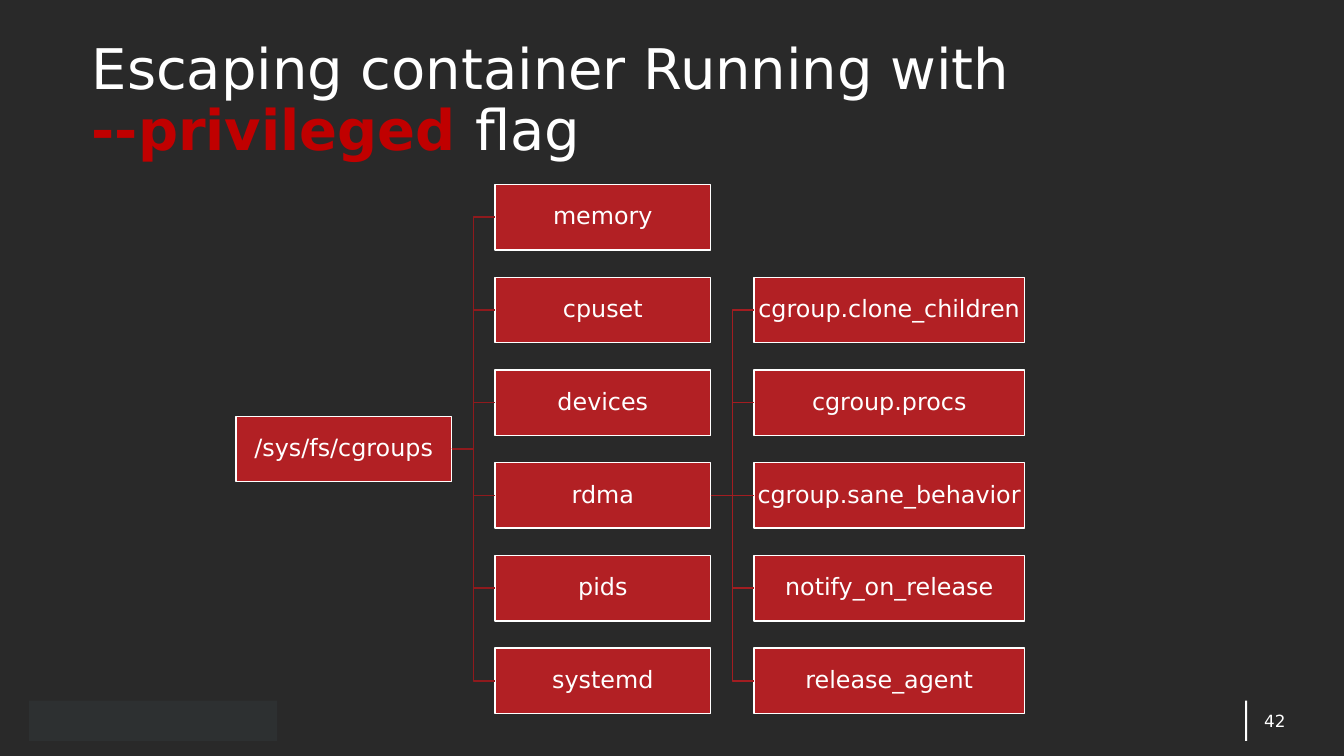
from pptx import Presentation
from pptx.dml.color import RGBColor
from pptx.enum import shapes, text
from pptx.oxml.ns import qn
from pptx.util import Inches, Pt

FONT = "DejaVu Sans"
RED, WHITE = "B22024", "FFFFFF"


def rgb(code):
    return RGBColor.from_string(code)


def block(x, y, w, h, fill, edge=None):
    shape = slide.shapes.add_shape(
        shapes.MSO_SHAPE.RECTANGLE, Inches(x), Inches(y), Inches(w), Inches(h))
    shape.shadow.inherit = False
    shape.fill.solid()
    shape.fill.fore_color.rgb = rgb(fill)
    if edge:
        shape.line.color.rgb = rgb(edge)
        shape.line.width = Pt(1)
    else:
        shape.line.fill.background()
    return shape


prs = Presentation()
prs.slide_width, prs.slide_height = Inches(13.33), Inches(7.5)
slide = prs.slides.add_slide(prs.slide_layouts[6])
slide.background.fill.solid()
slide.background.fill.fore_color.rgb = rgb("292929")

# Title and page number
block(12.35, 6.95, 0.02, 0.4, WHITE)
frames = []
for x, y, w, h in [(0.91, 0.39, 11.67, 1.24), (12.25, 6.95, 0.5, 0.4)]:
    box = slide.shapes.add_textbox(Inches(x), Inches(y), Inches(w), Inches(h))
    frame = box.text_frame
    frame.word_wrap = True
    frame.vertical_anchor = text.MSO_ANCHOR.MIDDLE
    frame.margin_left = frame.margin_right = 0
    frame.margin_top = frame.margin_bottom = 0
    frames.append(frame)

title = frames[0].paragraphs[0]
title.line_spacing = 0.9
title.font.size, title.font.name = Pt(40), FONT
title.add_run().text = "Escaping container Running with"
title.add_line_break()
flag = title.add_run()
flag.text = "--privileged "
title.add_run().text = "flag"
for run in title.runs:
    run.font.color.rgb = rgb(WHITE)
flag.font.bold = True
flag.font.color.rgb = rgb("C00000")

page = frames[1].paragraphs[0]
page.text = "42"
page.alignment = text.PP_ALIGN.RIGHT
page.font.size, page.font.name = Pt(12), FONT
page.font.color.rgb = rgb(WHITE)

# Tree nodes: left edge, width, first row, labels
top, pitch, high = 1.83, 0.92, 0.65
cols = [
    (2.34, 2.14, 2.5, ["/sys/fs/cgroups"]),
    (4.91, 2.14, 0, ["memory", "cpuset", "devices", "rdma", "pids", "systemd"]),
    (7.48, 2.68, 1, ["cgroup.clone_children", "cgroup.procs",
                     "cgroup.sane_behavior", "notify_on_release",
                     "release_agent"]),
]
nodes = {}
for x, w, first, names in cols:
    for i, name in enumerate(names):
        node = block(x, top + (first + i) * pitch, w, high, RED, WHITE)
        frame = node.text_frame
        frame.word_wrap = True
        frame.vertical_anchor = text.MSO_ANCHOR.MIDDLE
        frame.margin_left = frame.margin_right = Inches(0.01)
        frame.margin_top = frame.margin_bottom = Inches(0.01)
        para = frame.paragraphs[0]
        para.text = name
        para.alignment = text.PP_ALIGN.CENTER
        para.line_spacing = 0.9
        para.font.size, para.font.name = Pt(17), FONT
        para.font.color.rgb = rgb(WHITE)
        nodes[name] = node

# Branches from each parent to its children
kinds = shapes.MSO_CONNECTOR
for root, kids, tint in [("/sys/fs/cgroups", cols[1][3], "8F1A1D"),
                         ("rdma", cols[2][3], "A21D21")]:
    start = nodes[root]
    for kid in kids:
        end = nodes[kid]
        kind = kinds.STRAIGHT if start.top == end.top else kinds.ELBOW
        link = slide.shapes.add_connector(kind, 0, 0, 0, 0)
        link.begin_connect(start, 3)
        link.end_connect(end, 1)
        link.line.color.rgb = rgb(tint)
        link.line.width = Pt(1)
        props = link._element.spPr
        props.append(props.makeelement(qn("a:effectLst"), {}))

# Footer panel
block(0.29, 6.95, 2.46, 0.4, "2D3031")

prs.save("out.pptx")
